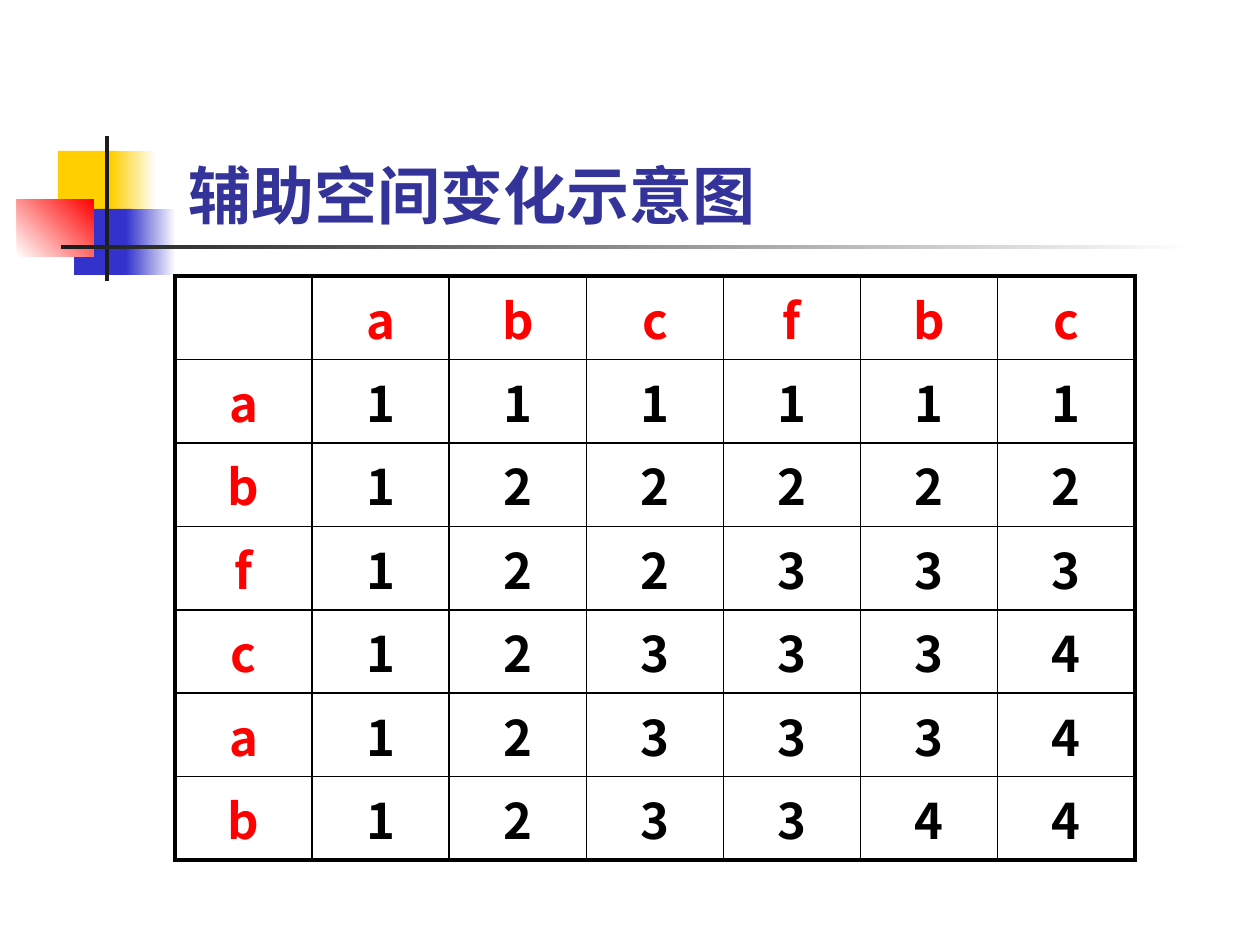
from dataclasses import dataclass

from lxml.etree import SubElement as Sub
from pptx import Presentation
from pptx.dml.color import RGBColor as RGB
from pptx.enum.shapes import MSO_SHAPE as Kind
from pptx.enum.text import MSO_ANCHOR as Anchor, PP_ALIGN as Align
from pptx.oxml.ns import qn
from pptx.util import Emu, Pt

HUES = {
    "gold": "FFCF01",
    "blue": "3333CC",
    "red": "FF0000",
    "ink": "1C1C1C",
    "white": "FFFFFF",
    "title": "333399",
    "black": "000000",
}


@dataclass
class Block:
    left: int
    top: int
    width: int
    height: int
    hue: str
    fade: str = ""
    angle: int = 0


BLOCKS = [
    Block(58, 151, 60, 66, "gold"),
    Block(111, 151, 45, 66, "gold", "white"),
    Block(74, 209, 58, 66, "blue"),
    Block(126, 209, 50, 66, "blue", "white"),
    Block(17, 199, 77, 58, "white", "red", 45),
    Block(105, 136, 4, 145, "ink"),
    Block(61, 245, 1134, 4, "ink", "white"),
]

# Common subsequence lengths: head letters, then a letter and counts per row
GRID = [
    " abcfbc",
    "a111111",
    "b122222",
    "f122333",
    "c123334",
    "a123334",
    "b123344",
]
SIZE = len(GRID)


def px(count: int) -> Emu:
    return Emu(round(count * 914400 / 126))


def rgb(hue: str) -> RGB:
    return RGB.from_string(HUES[hue])


def draw_block(slide, block: Block) -> None:
    shape = slide.shapes.add_shape(
        Kind.RECTANGLE, px(block.left), px(block.top),
        px(block.width), px(block.height))
    shape.shadow.inherit = False
    shape.line.fill.background()
    fill = shape.fill
    if block.fade:
        fill.gradient()
        fill.gradient_angle = block.angle
        for stop, hue in zip(fill.gradient_stops, (block.hue, block.fade)):
            stop.color.rgb = rgb(hue)
    else:
        fill.solid()
        fill.fore_color.rgb = rgb(block.hue)


def draw_edges(cell, row: int, col: int) -> None:
    last = SIZE - 1
    outer = {"lnL": col == 0, "lnR": col == last,
             "lnT": row == 0, "lnB": row == last}
    props = cell._tc.get_or_add_tcPr()
    for tag, thick in outer.items():
        line = Sub(props, qn(f"a:{tag}"), w=str(Pt(2.25 if thick else 1)))
        fill = Sub(line, qn("a:solidFill"))
        Sub(fill, qn("a:srgbClr"), val=HUES["black"])


def draw_table(slide) -> None:
    frame = slide.shapes.add_table(
        SIZE, SIZE, px(175), px(276), px(960), px(72 * SIZE))
    table = frame.table
    table.first_row = table.horz_banding = False
    for row, marks in enumerate(GRID):
        for col, mark in enumerate(marks):
            cell = table.cell(row, col)
            draw_edges(cell, row, col)
            cell.fill.background()
            para = cell.text_frame.paragraphs[0]
            para.text = mark.strip()
            para.alignment = Align.CENTER
            font = para.font
            font.name, font.size, font.bold = "Noto Sans CJK KR", Pt(28), True
            font.color.rgb = rgb("black" if row and col else "red")


def draw_title(slide) -> None:
    box = slide.shapes.add_textbox(px(176), px(150), px(784), px(88))
    frame = box.text_frame
    frame.word_wrap = True
    frame.vertical_anchor = Anchor.MIDDLE
    para = frame.paragraphs[0]
    para.text = "辅助空间变化示意图"
    font = para.font
    font.name, font.size, font.bold = "Times New Roman", Pt(36), True
    font.color.rgb = rgb("title")


def main() -> None:
    deck = Presentation()
    deck.slide_width, deck.slide_height = px(1260), px(945)
    slide = deck.slides.add_slide(deck.slide_layouts[6])

    # Corner ornament and rule
    for block in BLOCKS:
        draw_block(slide, block)

    # Table and heading
    draw_table(slide)
    draw_title(slide)
    deck.save("out.pptx")


if __name__ == "__main__":
    main()
